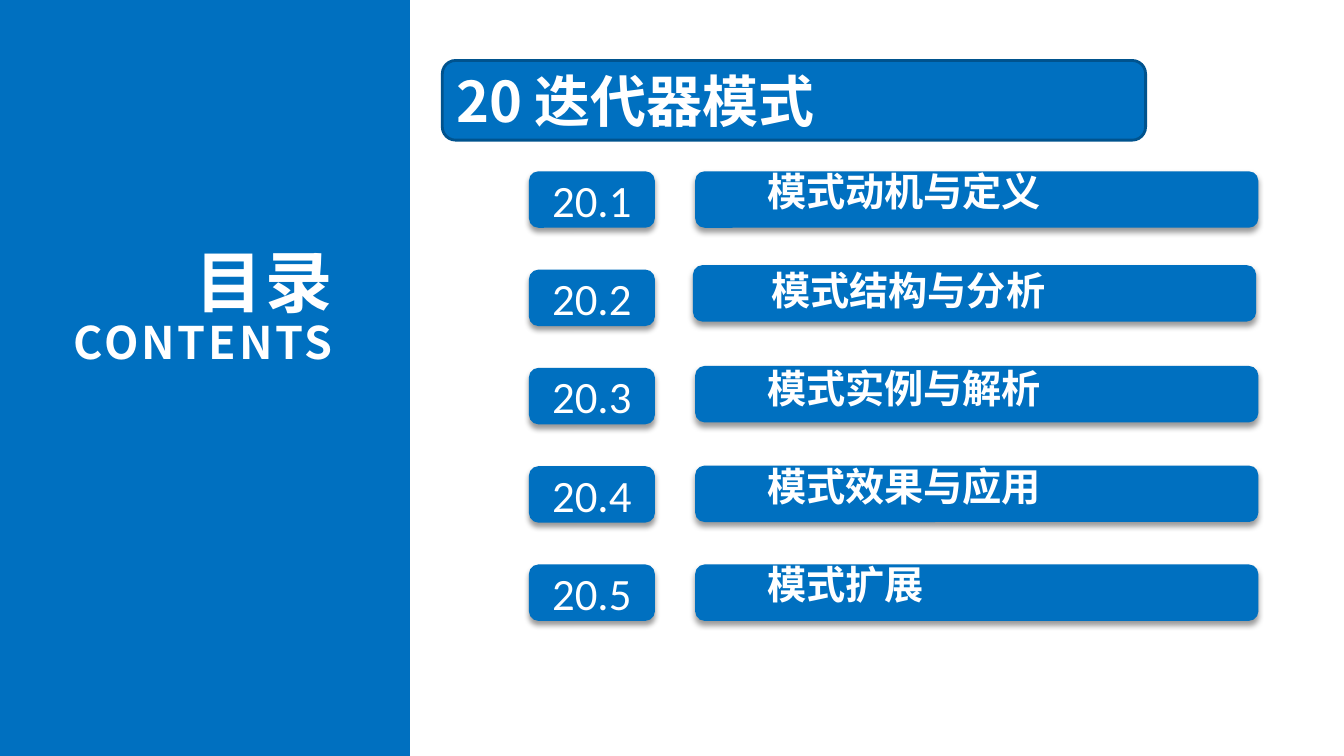
from dataclasses import dataclass

from lxml import etree
from pptx import Presentation
from pptx.dml.color import RGBColor
from pptx.enum.shapes import MSO_SHAPE
from pptx.enum.text import MSO_ANCHOR, MSO_AUTO_SIZE, PP_ALIGN
from pptx.oxml import parse_xml
from pptx.oxml.ns import nsdecls, qn
from pptx.shapes.autoshape import Shape
from pptx.text.text import TextFrame, _Paragraph
from pptx.util import Pt

RECTANGLE = MSO_SHAPE.RECTANGLE
ROUNDED = MSO_SHAPE.ROUNDED_RECTANGLE
TOP, MIDDLE = MSO_ANCHOR.TOP, MSO_ANCHOR.MIDDLE
LEFT, CENTER, RIGHT = PP_ALIGN.LEFT, PP_ALIGN.CENTER, PP_ALIGN.RIGHT
NO_AUTOFIT = MSO_AUTO_SIZE.NONE
TITLE_ONLY = 5


@dataclass(frozen=True)
class Theme:
    blue: RGBColor = RGBColor(0x00, 0x70, 0xC0)
    dark_blue: RGBColor = RGBColor(0x00, 0x53, 0x8E)
    white: RGBColor = RGBColor(0xFF, 0xFF, 0xFF)
    heading_font: str = "Noto Sans CJK SC"
    number_font: str = "Calibri"
    contents_size: float = 48
    banner_size: float = 40
    number_size: float = 32
    section_size: float = 28
    letter_spacing: float = 2
    line_spacing: float = 0.87


@dataclass(frozen=True)
class Box:
    left: float
    top: float
    width: float
    height: float

    def in_points(self) -> tuple[Pt, Pt, Pt, Pt]:
        return Pt(self.left), Pt(self.top), Pt(self.width), Pt(self.height)


@dataclass(frozen=True)
class Section:
    number: str
    name: str
    bar_top: float
    bar_left: float = 496.8
    name_left: float = 538.6


THEME = Theme()
SECTIONS = [
    Section("20.1", "模式动机与定义", 122.4),
    Section("20.2", "模式结构与分析", 189.4, 495.2, 541.6),
    Section("20.3", "模式实例与解析", 261.4),
    Section("20.4", "模式效果与应用", 332.6),
    Section("20.5", "模式扩展", 403.2),
]
FIRST_NUMBER_TOP, FIRST_NAME_TOP, ROW_PITCH = 122.4, 119.5, 70.2
ROW_HEIGHT = 40.3


def add_filled_shape(shapes, kind: MSO_SHAPE, box: Box) -> Shape:
    shape = shapes.add_shape(kind, *box.in_points())
    shape.shadow.inherit = False
    shape.fill.solid()
    shape.fill.fore_color.rgb = THEME.blue
    shape.line.fill.background()
    return shape


def add_drop_shadow(shape: Shape) -> None:
    effects = shape._element.spPr.find(qn("a:effectLst"))
    effects.append(parse_xml(
        f'<a:outerShdw {nsdecls("a")} blurRad="{Pt(4)}" dist="{Pt(3)}" '
        'dir="5400000" algn="t" rotWithShape="0"><a:srgbClr val="000000">'
        '<a:alpha val="40000"/></a:srgbClr></a:outerShdw>'))


def add_button(shapes, box: Box) -> Shape:
    button = add_filled_shape(shapes, ROUNDED, box)
    add_drop_shadow(button)
    return button


def set_frame(frame: TextFrame, anchor: MSO_ANCHOR,
              side: float = 9.6, vertical: float = 4.8) -> None:
    frame.word_wrap = True
    frame.auto_size = NO_AUTOFIT
    frame.vertical_anchor = anchor
    frame.margin_left = frame.margin_right = Pt(side)
    frame.margin_top = frame.margin_bottom = Pt(vertical)


def set_paragraph(paragraph: _Paragraph, text: str, size: float, alignment: PP_ALIGN,
                  font_name: str = THEME.heading_font, bold: bool = True) -> None:
    paragraph.text = text
    paragraph.alignment = alignment
    font = paragraph.font
    font.size, font.bold, font.name = Pt(size), bold, font_name
    font.color.rgb = THEME.white
    properties = paragraph._p.pPr.find(qn("a:defRPr"))
    latin = properties.find(qn("a:latin"))
    east_asian = etree.Element(qn("a:ea"), typeface=font_name)
    latin.addnext(east_asian)


def add_contents_title(slide) -> None:
    title = slide.shapes.title
    title.left, title.top, title.width, title.height = Box(26.6, 175, 221, 106.6).in_points()
    frame = title.text_frame
    set_frame(frame, TOP)
    lines = (("目录", THEME.contents_size), ("CONTENTS", THEME.number_size))
    for index, (text, size) in enumerate(lines):
        paragraph = frame.add_paragraph() if index else frame.paragraphs[0]
        set_paragraph(paragraph, text, size, RIGHT)
        paragraph.line_spacing = THEME.line_spacing
        for run in paragraph.runs:
            run.font._element.set("spc", str(int(THEME.letter_spacing * 100)))
    # The title placeholder comes first in the tree; bring it above the side panel.
    slide.shapes._spTree.append(title._element)


def add_banner(slide) -> None:
    banner = add_filled_shape(slide.shapes, ROUNDED, Box(316.1, 43.2, 502.6, 56.9))
    banner.line.color.rgb = THEME.dark_blue
    banner.line.width = Pt(2)
    set_frame(banner.text_frame, MIDDLE, 7.2, 3.6)
    set_paragraph(banner.text_frame.paragraphs[0], "20 迭代器模式", THEME.banner_size, LEFT)


def add_section(slide, section: Section, row: int) -> None:
    offset = row * ROW_PITCH
    number = add_button(slide.shapes, Box(378, FIRST_NUMBER_TOP + offset, 90, ROW_HEIGHT))
    set_frame(number.text_frame, MIDDLE)
    set_paragraph(number.text_frame.paragraphs[0], section.number, THEME.number_size,
                  CENTER, THEME.number_font, bold=False)

    group = slide.shapes.add_group_shape()
    add_button(group.shapes, Box(section.bar_left, section.bar_top, 402.5, ROW_HEIGHT))
    name_box = Box(section.name_left, FIRST_NAME_TOP + offset, 294.5, 43.9)
    name = group.shapes.add_textbox(*name_box.in_points())
    set_frame(name.text_frame, TOP)
    paragraph = name.text_frame.paragraphs[0]
    set_paragraph(paragraph, section.name, THEME.section_size, LEFT)
    paragraph.line_spacing = THEME.line_spacing


def main() -> None:
    presentation = Presentation()
    presentation.slide_width, presentation.slide_height = Pt(960.5), Pt(540)
    slide = presentation.slides.add_slide(presentation.slide_layouts[TITLE_ONLY])
    add_filled_shape(slide.shapes, RECTANGLE, Box(0, 0, 293, 540))
    add_contents_title(slide)
    add_banner(slide)
    for row, section in enumerate(SECTIONS):
        add_section(slide, section, row)
    presentation.save("out.pptx")


if __name__ == "__main__":
    main()
